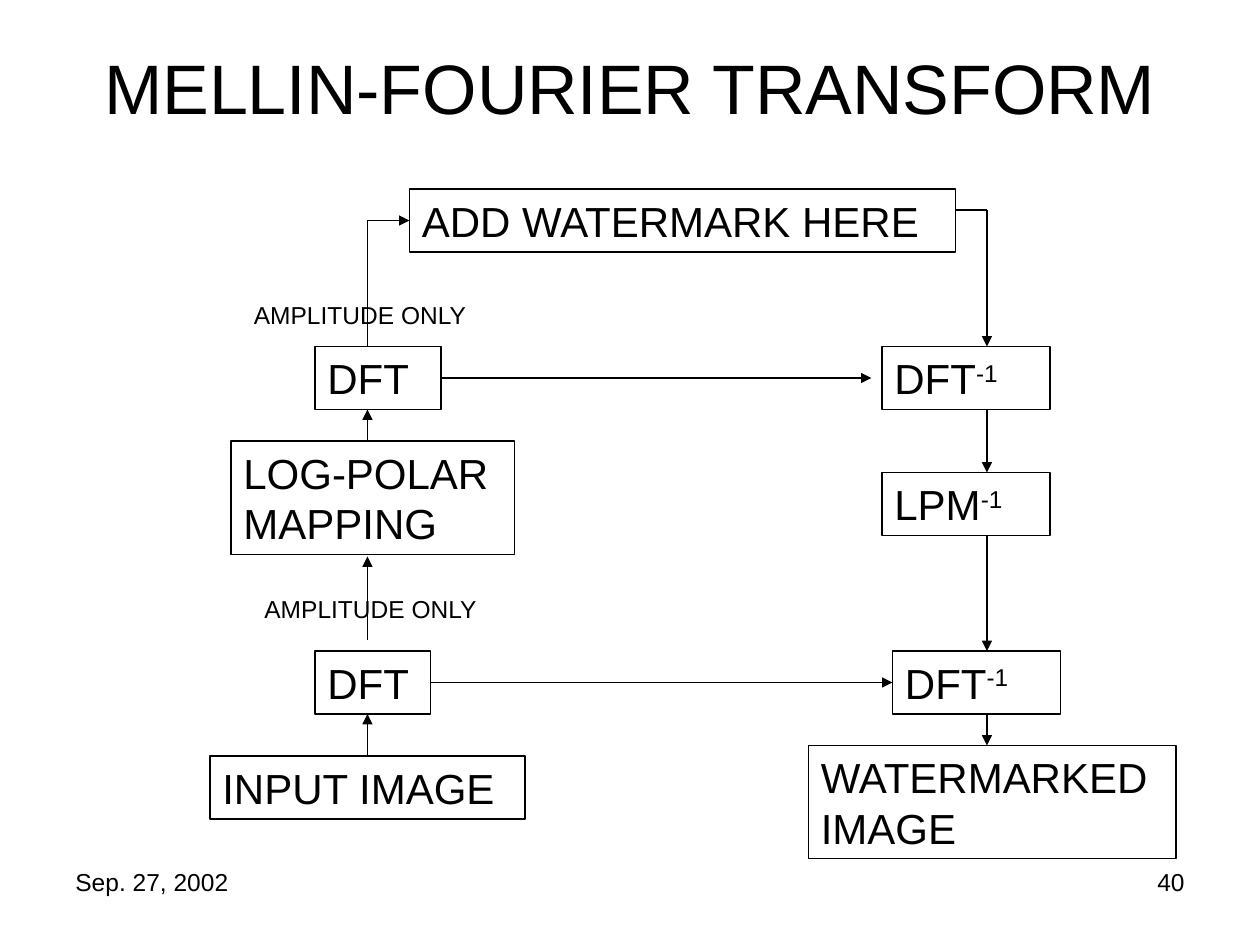
from dataclasses import dataclass

from lxml import etree
from pptx import Presentation
from pptx import util as u
from pptx.dml.color import RGBColor
from pptx.enum import shapes, text
from pptx.oxml.ns import qn


@dataclass(frozen=True)
class Theme:
    font: str = "Arial"
    ink: RGBColor = RGBColor(0, 0, 0)
    title: int = 40
    body: int = 24
    small: int = 14
    line: float = 0.75


@dataclass(frozen=True)
class Box:
    label: str
    left: float
    top: float
    width: float
    height: float = 6
    sup: str = ""


@dataclass(frozen=True)
class Label:
    label: str
    left: float
    top: float
    width: float
    height: float
    align: text.PP_ALIGN = text.PP_ALIGN.LEFT


@dataclass(frozen=True)
class Line:
    x1: float
    y1: float
    x2: float
    y2: float
    arrow: bool = True


THEME = Theme()
LEFT_AXIS, RIGHT_AXIS = 35, 94
TALL = 10.8

BOXES = [
    Box("INPUT IMAGE", 20, 72, 30),
    Box("DFT", 30, 62, 11),
    Box("LOG-POLAR MAPPING", 22, 42, 27, TALL),
    Box("DFT", 30, 33, 12),
    Box("ADD WATERMARK HERE", 39, 18, 52),
    Box("DFT", 84, 33, 16, sup="-1"),
    Box("LPM", 84, 45, 16, sup="-1"),
    Box("DFT", 85, 62, 16, sup="-1"),
    Box("WATERMARKED IMAGE", 77, 71, 35, TALL),
]
LABELS = [
    Label("AMPLITUDE ONLY", 24, 56, 24, 4),
    Label("AMPLITUDE ONLY", 23, 28, 25, 4),
    Label("40", 86, 82, 28, 6.2, text.PP_ALIGN.RIGHT),
    Label("Sep. 27, 2002", 6, 82, 28, 6.2),
]
LINES = [
    Line(42, 36, 83, 36),
    Line(41, 65, 85, 65),
    *(Line(LEFT_AXIS, a, LEFT_AXIS, b) for a, b in [(72, 68), (61, 53), (42, 39)]),
    Line(LEFT_AXIS, 33, LEFT_AXIS, 21, arrow=False),
    Line(LEFT_AXIS, 21, 39, 21),
    Line(91, 20, RIGHT_AXIS, 20, arrow=False),
    *(Line(RIGHT_AXIS, a, RIGHT_AXIS, b)
      for a, b in [(20, 33), (39, 45), (51, 62), (68, 71)]),
]


def grid(n: float) -> u.Length:
    return u.Cm(n * 2.54 / 12)


def apply(target, values: dict) -> None:
    for name, value in values.items():
        setattr(target, name, value)


def place(item) -> list[u.Length]:
    return [grid(n) for n in (item.left, item.top, item.width, item.height)]


def write(sp, label: str, size: int, align=text.PP_ALIGN.LEFT,
          anchor=text.MSO_ANCHOR.TOP, sup: str = "") -> None:
    tf = sp.text_frame
    apply(tf, {
        "word_wrap": True,
        "auto_size": text.MSO_AUTO_SIZE.NONE,
        "vertical_anchor": anchor,
        "margin_left": u.Cm(0.25),
        "margin_right": u.Cm(0.25),
        "margin_top": u.Cm(0.13),
        "margin_bottom": u.Cm(0.13),
    })
    p = tf.paragraphs[0]
    p.alignment = align
    for part in filter(None, (label, sup)):
        r = p.add_run()
        r.text = part
        apply(r.font, {"name": THEME.font, "size": u.Pt(size)})
        r.font.color.rgb = THEME.ink
    if sup:
        r._r.get_or_add_rPr().set("baseline", "30000")


def stroke(sp) -> None:
    sp.line.color.rgb = THEME.ink
    sp.line.width = u.Pt(THEME.line)


def draw_box(s, box: Box) -> None:
    sp = s.shapes.add_shape(shapes.MSO_SHAPE.RECTANGLE, *place(box))
    sp.shadow.inherit = False
    sp.fill.background()
    stroke(sp)
    write(sp, box.label, THEME.body, sup=box.sup)


def draw_label(s, label: Label) -> None:
    write(s.shapes.add_textbox(*place(label)), label.label, THEME.small, label.align)


def draw_line(s, line: Line) -> None:
    ends = [grid(n) for n in (line.x1, line.y1, line.x2, line.y2)]
    sp = s.shapes.add_connector(shapes.MSO_CONNECTOR.STRAIGHT, *ends)
    stroke(sp)
    if line.arrow:
        etree.SubElement(sp.line._get_or_add_ln(), qn("a:tailEnd"), type="triangle")
    etree.SubElement(sp._element.spPr, qn("a:effectLst"))


def main() -> None:
    prs = Presentation()
    apply(prs, {"slide_width": u.Cm(25.4), "slide_height": u.Cm(19.05)})
    s = prs.slides.add_slide(prs.slide_layouts[5])
    title = s.shapes.title
    apply(title, {"left": u.Cm(1.27), "top": u.Cm(0.76),
                  "width": u.Cm(22.86), "height": u.Cm(1.98)})
    write(title, "MELLIN-FOURIER TRANSFORM", THEME.title,
          text.PP_ALIGN.CENTER, text.MSO_ANCHOR.MIDDLE)
    for draw, items in ((draw_box, BOXES), (draw_label, LABELS), (draw_line, LINES)):
        for item in items:
            draw(s, item)
    prs.save("out.pptx")


if __name__ == "__main__":
    main()
